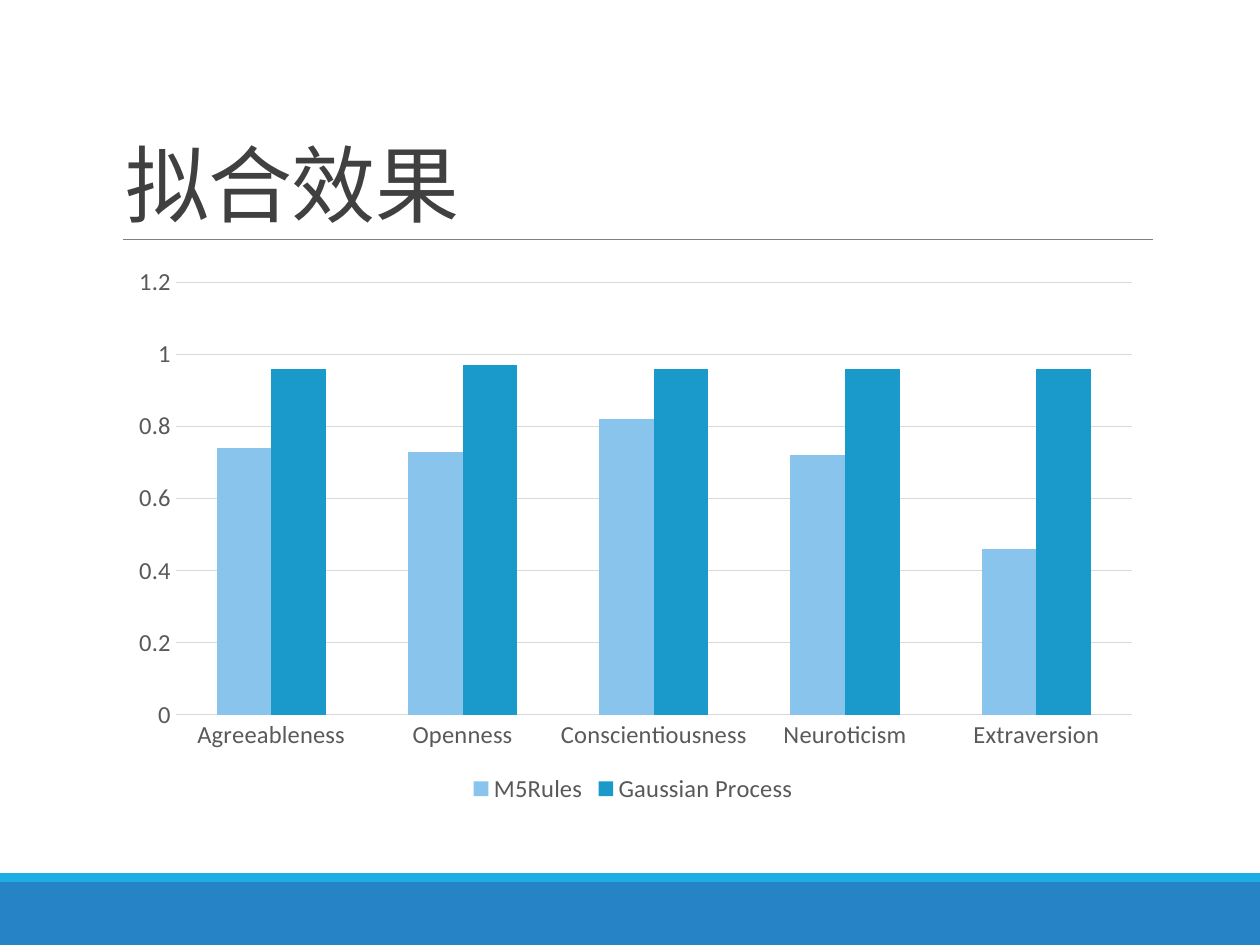
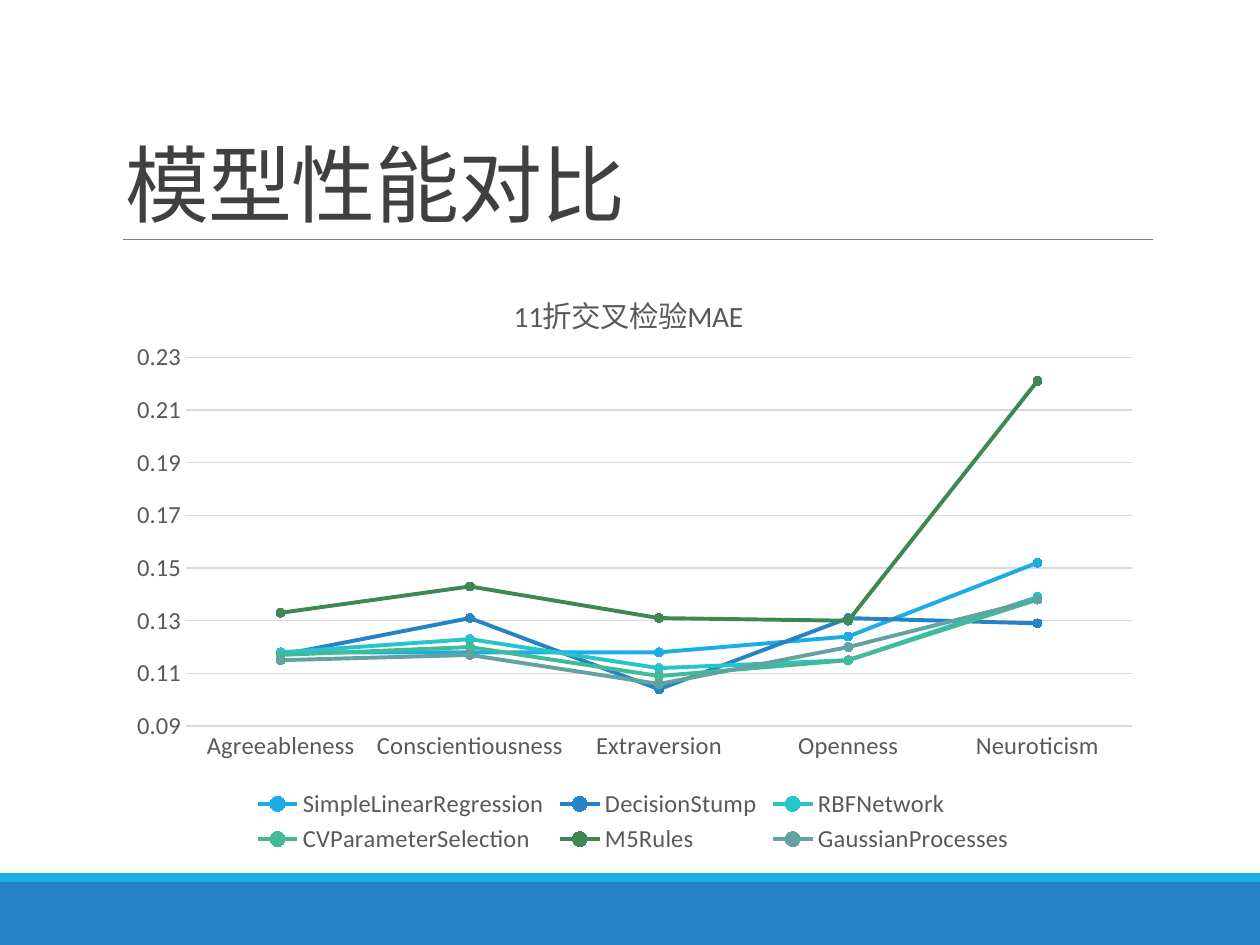
from dataclasses import dataclass

from lxml import etree
from pptx import Presentation
from pptx import util as u
from pptx.chart.data import CategoryChartData
from pptx.dml.color import RGBColor
from pptx.enum import chart as ch, shapes, text
from pptx.oxml import parse_xml
from pptx.oxml.ns import nsdecls, qn


@dataclass(frozen=True)
class Theme:
    font: str = "Calibri"
    band: str = "2683C6"
    stripe: str = "1CADE4"
    rule: str = "808080"
    title: str = "404040"
    label: str = "595959"
    grid: str = "D9D9D9"
    title_size: float = 48
    chart_title_size: float = 16.8
    label_size: float = 14
    left: float = 0.9
    width: float = 8.25


def rgb(code):
    return RGBColor.from_string(code)


def place(parent, index, **fractions):
    """Pin a chart part with a manual layout, in fractions of the chart."""
    for old in parent.findall(qn("c:layout")):
        parent.remove(old)
    layout = parse_xml(f"<c:layout {nsdecls('c')}><c:manualLayout/></c:layout>")
    manual = layout[0]
    if "w" in fractions:
        etree.SubElement(manual, qn("c:layoutTarget")).set("val", "inner")
    for axis in "xy":
        etree.SubElement(manual, qn(f"c:{axis}Mode")).set("val", "edge")
    for key, value in fractions.items():
        etree.SubElement(manual, qn(f"c:{key}")).set("val", str(value))
    parent.insert(index, layout)


class Deck:
    def __init__(self, theme):
        self.theme = theme
        self.prs = Presentation()
        self.prs.slide_width, self.prs.slide_height = u.Inches(10), u.Inches(7.5)
        self.slide = None

    def new_slide(self, heading):
        self.slide = self.prs.slides.add_slide(self.prs.slide_layouts[6])
        self.bar(7, 0.5, self.theme.band)
        self.bar(6.93, 0.07, self.theme.stripe)
        self.rule(0.98, 9.15, 1.9)
        self.heading(heading)

    def bar(self, top, height, color):
        bar = self.slide.shapes.add_shape(
            shapes.MSO_SHAPE.RECTANGLE, 0, u.Inches(top), self.prs.slide_width, u.Inches(height))
        bar.shadow.inherit = False
        bar.fill.solid()
        bar.fill.fore_color.rgb = rgb(color)
        bar.line.fill.background()

    def rule(self, start, end, top):
        rule = self.slide.shapes.add_connector(
            shapes.MSO_CONNECTOR.STRAIGHT,
            u.Inches(start), u.Inches(top), u.Inches(end), u.Inches(top))
        rule.line.color.rgb = rgb(self.theme.rule)
        rule.line.width = u.Pt(0.5)
        etree.SubElement(rule._element.spPr, qn("a:effectLst"))

    def heading(self, wording):
        frame = self.slide.shapes.add_textbox(
            u.Inches(self.theme.left), u.Inches(0.31),
            u.Inches(self.theme.width), u.Inches(1.59)).text_frame
        frame.word_wrap = True
        frame.vertical_anchor = text.MSO_ANCHOR.BOTTOM
        paragraph = frame.paragraphs[0]
        paragraph.line_spacing = 0.85
        run = paragraph.add_run()
        run.text = wording
        self.style(run.font, self.theme.title_size, self.theme.title)
        run.font._element.set("spc", "-50")

    def style(self, font, size, color):
        font.name = self.theme.font
        font.size = u.Pt(size)
        font.bold = False
        font.color.rgb = rgb(color)

    def chart(self, kind, height, categories, series, scale, plot_area):
        """Add a chart; scale is the value axis as minimum, maximum and step."""
        data = CategoryChartData()
        data.categories = categories
        for name, values, _ in series:
            data.add_series(name, values)
        chart = self.slide.shapes.add_chart(
            kind, u.Inches(self.theme.left), u.Inches(2.02),
            u.Inches(self.theme.width), u.Inches(height), data).chart
        self.style(chart.font, self.theme.label_size, self.theme.label)
        chart.has_title = False
        chart.has_legend = True
        chart.legend.position = ch.XL_LEGEND_POSITION.BOTTOM
        chart.legend.include_in_layout = False
        self.style(chart.legend.font, self.theme.label_size, self.theme.label)
        for axis in (chart.category_axis, chart.value_axis):
            axis.major_tick_mark = axis.minor_tick_mark = ch.XL_TICK_MARK.NONE
            axis.format.line.fill.background()
            self.style(axis.tick_labels.font, self.theme.label_size, self.theme.label)
        chart.category_axis.has_major_gridlines = False
        values_axis = chart.value_axis
        values_axis.minimum_scale, values_axis.maximum_scale, values_axis.major_unit = scale
        values_axis.has_major_gridlines = True
        self.grid_line(values_axis.major_gridlines.format.line)
        place(chart._chartSpace.chart.plotArea, 0, **plot_area)
        return chart

    def grid_line(self, line):
        line.color.rgb = rgb(self.theme.grid)
        line.width = u.Pt(0.75)

    def column_chart(self, *args):
        chart = self.chart(ch.XL_CHART_TYPE.COLUMN_CLUSTERED, *args)
        plot = chart.plots[0]
        plot.vary_by_categories = False
        plot.gap_width, plot.overlap = 150, 0
        for columns, (_, _, color) in zip(plot.series, args[2]):
            columns.format.fill.solid()
            columns.format.fill.fore_color.rgb = rgb(color)

    def line_chart(self, title, *args):
        chart = self.chart(ch.XL_CHART_TYPE.LINE_MARKERS, *args)
        self.grid_line(chart.category_axis.format.line)
        chart.plots[0].vary_by_categories = False
        for curve, (_, _, color) in zip(chart.plots[0].series, args[2]):
            curve.smooth = False
            curve.format.line.color.rgb = rgb(color)
            curve.format.line.width = u.Pt(2.25)
            marker = curve.marker
            marker.style, marker.size = ch.XL_MARKER_STYLE.CIRCLE, 5
            marker.format.fill.solid()
            marker.format.fill.fore_color.rgb = rgb(color)
            marker.format.line.color.rgb = rgb(color)
        run = chart.chart_title.text_frame.paragraphs[0].add_run()
        run.text = title
        self.style(run.font, self.theme.chart_title_size, self.theme.label)
        place(chart.chart_title._element, 1, x=0.38, y=0.05)


def main():
    deck = Deck(Theme())

    deck.new_slide("拟合效果")
    deck.column_chart(
        4.4,
        ["Agreeableness", "Openness", "Conscientiousness", "Neuroticism", "Extraversion"],
        [("M5Rules", [0.74, 0.73, 0.82, 0.72, 0.46], "88C4EB"),
         ("Gaussian Process", [0.96, 0.97, 0.96, 0.96, 0.96], "199ACA")],
        (0, 1.2, 0.2),
        dict(x=0.06, y=0.05, w=0.92, h=0.78))

    deck.new_slide("模型性能对比")
    deck.line_chart(
        "11折交叉检验MAE",
        4.8,
        ["Agreeableness", "Conscientiousness", "Extraversion", "Openness", "Neuroticism"],
        [("SimpleLinearRegression", [0.118, 0.118, 0.118, 0.124, 0.152], "1CADE4"),
         ("DecisionStump", [0.117, 0.131, 0.104, 0.131, 0.129], "2683C6"),
         ("RBFNetwork", [0.118, 0.123, 0.112, 0.115, 0.139], "28C4CC"),
         ("CVParameterSelection", [0.117, 0.12, 0.109, 0.115, 0.138], "42BA97"),
         ("M5Rules", [0.133, 0.143, 0.131, 0.13, 0.221], "3E8853"),
         ("GaussianProcesses", [0.115, 0.117, 0.106, 0.12, 0.138], "62A39F")],
        (0.09, 0.23, 0.02),
        dict(x=0.07, y=0.17, w=0.91, h=0.61))

    deck.prs.save("out.pptx")


if __name__ == "__main__":
    main()
